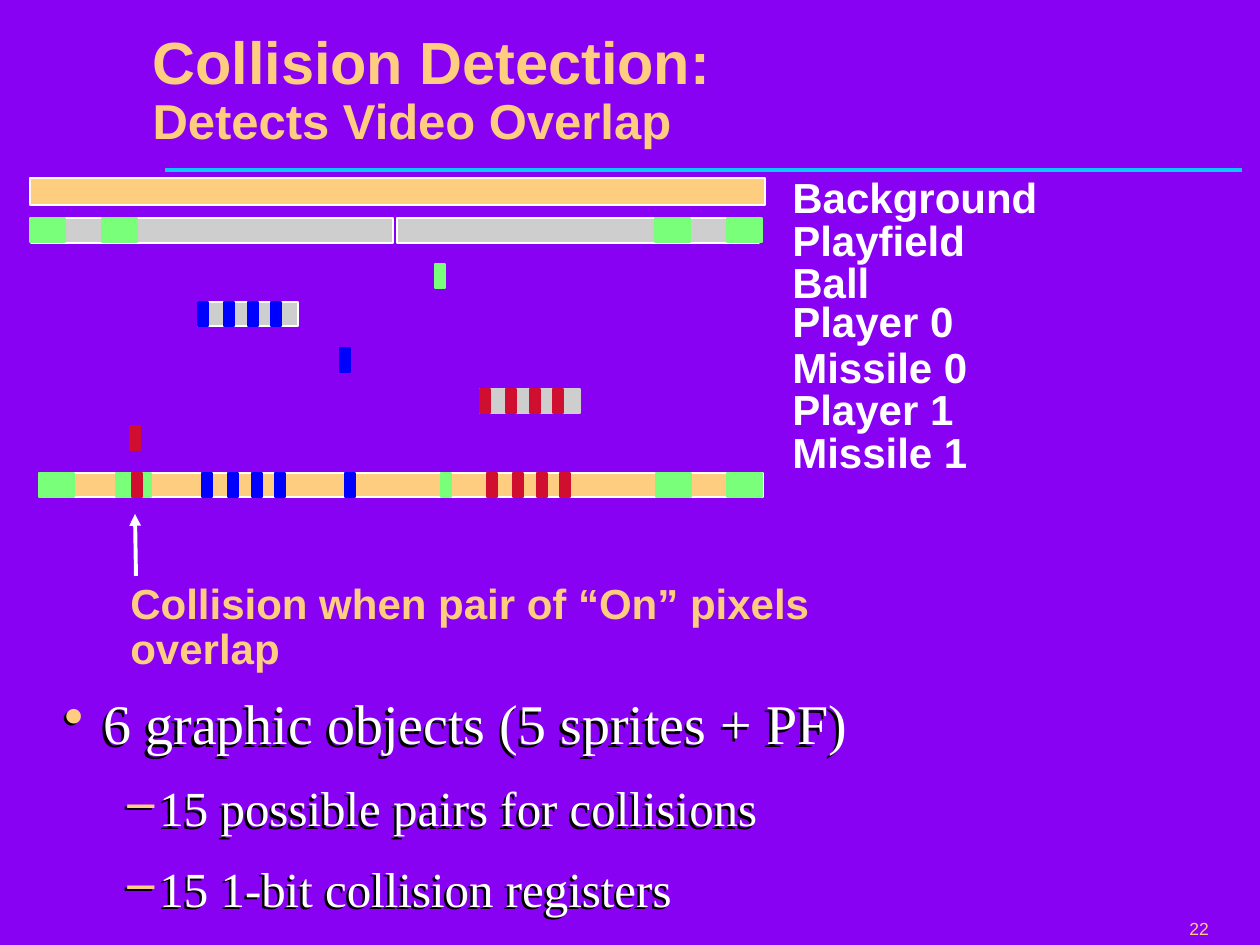
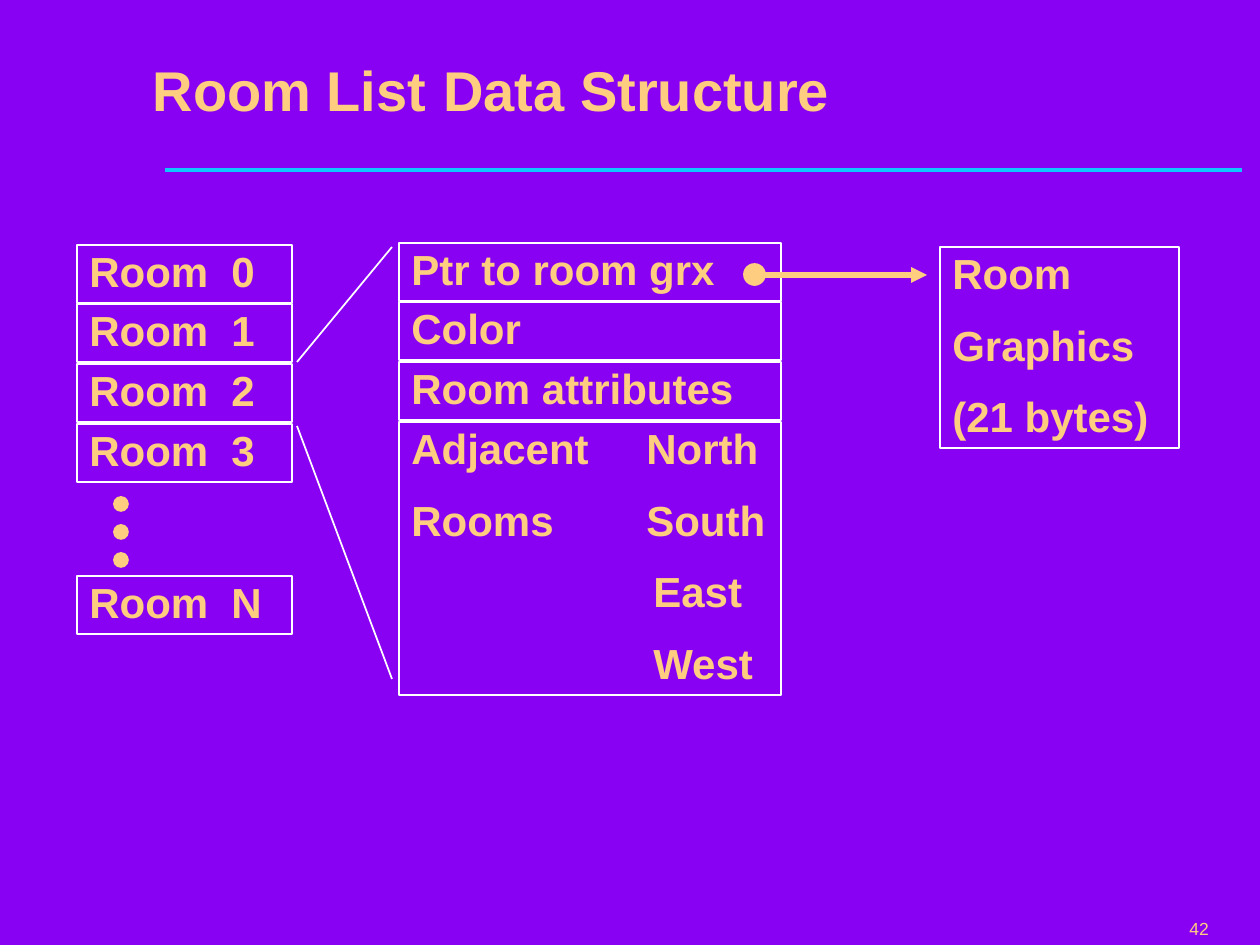
from dataclasses import dataclass

from lxml.etree import SubElement
from pptx import Presentation
from pptx.dml.color import RGBColor as Rgb
from pptx.enum.shapes import MSO_CONNECTOR as Connector, MSO_SHAPE as Shape
from pptx.enum.text import MSO_ANCHOR as Anchor, MSO_AUTO_SIZE as AutoSize, PP_ALIGN as Align
from pptx.oxml.ns import qn
from pptx.util import Emu, Pt

PX_PER_INCH = 126
TITLE_ONLY = 5


def px(length):
    return Emu(round(length * 914400 / PX_PER_INCH))


def apply(target, values):
    for name, value in values.items():
        setattr(target, name, value)


@dataclass(frozen=True)
class Theme:
    # Colours
    purple: str = "8901F3"
    gold: str = "FFCD7F"
    cyan: str = "0FC7FF"
    white: str = "FFFFFF"
    black: str = "000000"
    gray: str = "CECECE"
    green: str = "7AFF7A"
    blue: str = "0000FF"
    red: str = "CF0E30"
    # Typefaces and sizes
    sans: str = "Arial"
    serif: str = "Times New Roman"
    title: int = 34
    title_small: int = 32
    subtitle: int = 28
    label: int = 24
    bullet: int = 32
    sub_bullet: int = 28
    number: int = 10


class Sketcher:
    def __init__(self, deck, theme):
        self.deck, self.theme, self.page = deck, theme, None
        fill = deck.slide_master.background.fill
        fill.solid()
        fill.fore_color.rgb = Rgb.from_string(theme.purple)

    def start_page(self, number, title_spans):
        """Add a page with the title, rule and page number that all pages share."""
        theme = self.theme
        self.page = self.deck.slides.add_slide(self.deck.slide_layouts[TITLE_ONLY])
        self.line((165, 170), (1242, 170), theme.cyan, 2.25)
        self.text((1177, 914, 80, 31), [str(number)], theme.number, bold=False, before=0)
        title = self.page.shapes.title
        self.place(title, (140, 37, 1120, 110))
        self.frame(title, Anchor.MIDDLE)
        para = title.text_frame.paragraphs[0]
        self.paragraph(para, 0)
        for text, size in title_spans:
            if text == "\n":
                para.add_line_break()
            else:
                self.span(para, text, size, theme.gold)

    def place(self, shape, area):
        apply(shape, dict(zip(("left", "top", "width", "height"), map(px, area))))

    def frame(self, shape, anchor=Anchor.TOP):
        apply(shape.text_frame, {
            "word_wrap": True, "auto_size": AutoSize.NONE, "vertical_anchor": anchor,
            "margin_left": Pt(7.2), "margin_right": Pt(7.2),
            "margin_top": Pt(3.6), "margin_bottom": Pt(3.6)})

    def paragraph(self, para, before):
        apply(para, {"alignment": Align.LEFT, "line_spacing": 0.9, "space_before": Pt(before)})

    def span(self, para, text, size, color, bold=True, font=None):
        span = para.add_run()
        span.text = text
        apply(span.font, {"name": font or self.theme.sans, "size": Pt(size), "bold": bold})
        span.font.color.rgb = Rgb.from_string(color)

    def set_lines(self, shape, lines, size, color, bold=True, before=15, tabs=()):
        """Fill a shape with lines; tabs gives one tab stop for each line."""
        self.frame(shape)
        for index, text in enumerate(lines):
            paras = shape.text_frame
            para = paras.add_paragraph() if index else paras.paragraphs[0]
            self.paragraph(para, before)
            self.span(para, text, size, color, bold)
            if tabs:
                stops = SubElement(para._p.get_or_add_pPr(), qn("a:tabLst"))
                SubElement(stops, qn("a:tab"), pos=str(px(tabs[index])), algn="l")

    def text(self, area, lines, size, color=None, **style):
        box = self.page.shapes.add_textbox(*map(px, area))
        self.set_lines(box, lines, size, color or self.theme.gold, **style)

    def shape(self, area, fill=None, outline=None, kind=Shape.RECTANGLE):
        shape = self.page.shapes.add_shape(kind, *map(px, area))
        shape.shadow.inherit = False
        if fill:
            shape.fill.solid()
            shape.fill.fore_color.rgb = Rgb.from_string(fill)
        else:
            shape.fill.background()
        shape.line.color.rgb = Rgb.from_string(outline or fill)
        shape.line.width = Pt(1)
        return shape

    def cell(self, area, *lines, tabs=()):
        """Draw a white outlined box with text."""
        box = self.shape(area, outline=self.theme.white)
        self.set_lines(box, lines, self.theme.label, self.theme.gold, tabs=tabs)

    def blocks(self, lefts, top, width, color):
        for left in lefts:
            self.shape((left, top, width, 24), color)

    def dot(self, left, top, size):
        self.shape((left, top, size, size), self.theme.gold, kind=Shape.OVAL)

    def line(self, start, end, color, width, arrow=False):
        line = self.page.shapes.add_connector(Connector.STRAIGHT, *map(px, start + end))
        line.line.color.rgb = Rgb.from_string(color)
        line.line.width = Pt(width)
        props = line._element.spPr
        if arrow:
            SubElement(props.get_or_add_ln(), qn("a:tailEnd"), type="triangle")
        SubElement(props, qn("a:effectLst"))

    def bullets(self, area, items):
        """Add (level, text) items as a shadowed bullet list."""
        theme = self.theme
        levels = [("•", theme.bullet, 18, 39, 39), ("–", theme.sub_bullet, 15.8, 95, 32)]
        box = self.page.shapes.add_textbox(*map(px, area))
        self.frame(box)
        for index, (level, text) in enumerate(items):
            mark, size, before, indent, hang = levels[level]
            paras = box.text_frame
            para = paras.add_paragraph() if index else paras.paragraphs[0]
            para.level = level
            self.paragraph(para, before)
            self.span(para, text, size, theme.white, False, theme.serif)
            props = para._p.get_or_add_pPr()
            props.set("marL", str(px(indent)))
            props.set("indent", str(-px(hang)))
            SubElement(SubElement(props, qn("a:buClr")), qn("a:srgbClr"), val=theme.gold)
            SubElement(props, qn("a:buChar"), char=mark)
        effects = SubElement(box._element.spPr, qn("a:effectLst"))
        shadow = SubElement(effects, qn("a:outerShdw"), dist="25400", dir="8100000")
        SubElement(shadow, qn("a:srgbClr"), val=theme.black)


def collision_page(sketch):
    theme = sketch.theme
    sketch.start_page(22, [("Collision Detection:", theme.title), ("\n", 0),
                           ("Detects Video Overlap", theme.subtitle)])
    pixel, field_block = 10, 35
    player_bits = (0, 26, 50, 73)

    def player(left, top, color):
        sketch.blocks([left + bit for bit in player_bits], top, pixel, color)

    # Background and playfield
    sketch.shape((30, 178, 735, 27), theme.gold, theme.white)
    for left in (31, 397):
        sketch.shape((left, 218, 362, 25), theme.gray, theme.white)
    sketch.blocks((30, 102, 655, 727), 218, field_block, theme.green)

    # Ball, players and missiles
    sketch.blocks([435], 264, pixel, theme.green)
    sketch.shape((198, 302, 100, 24), theme.gray, theme.white)
    player(198, 302, theme.blue)
    sketch.blocks([340], 348, pixel, theme.blue)
    sketch.shape((480, 389, 100, 24), theme.gray)
    player(480, 389, theme.red)
    sketch.blocks([130], 426, pixel, theme.red)

    # Combined scan line
    combined = 473
    sketch.shape((40, combined, 723, 24), theme.gold, theme.white)
    sketch.blocks((39, 116, 656, 727), combined, field_block, theme.green)
    sketch.blocks([441], combined, pixel, theme.green)
    player(202, combined, theme.blue)
    player(487, combined, theme.red)
    sketch.blocks([345], combined, pixel, theme.blue)
    sketch.blocks([132], combined, pixel, theme.red)

    # Row labels
    labels = {"Background": 171, "Playfield": 214, "Ball": 256, "Player 0": 295,
              "Missile 0": 341, "Player 1": 383, "Missile 1": 426}
    for label, top in labels.items():
        sketch.text((780, top, 480, 58), [label], theme.label, theme.white)

    # Collision note
    sketch.line((136, 576), (135, 514), theme.white, 2.25, arrow=True)
    sketch.text((118, 577, 742, 103), ["Collision when pair of “On” pixels overlap"],
                theme.label)
    sketch.bullets((52, 690, 1163, 255), [
        (0, "6 graphic objects (5 sprites + PF)"),
        (1, "15 possible pairs for collisions"),
        (1, "15 1-bit collision registers")])


def room_page(sketch):
    theme = sketch.theme
    sketch.start_page(42, [("Room List", theme.title_small), (" ", theme.title),
                           ("Data Structure", theme.title_small)])
    row_height = 58

    def row_top(first, index):
        return first + index * 179 // 3

    # Room list
    room_tops = {str(index): row_top(245, index) for index in range(4)}
    room_tops["N"] = 576
    for room, top in room_tops.items():
        sketch.cell((77, top, 215, row_height), f"Room\t{room}", tabs=[142])
    for index in range(3):
        sketch.dot(114, 497 + 28 * index, 14)

    # Room record
    for index, field in enumerate(("Ptr to room grx", "Color", "Room attributes")):
        sketch.cell((399, row_top(243, index), 382, row_height), field)
    sketch.cell((399, row_top(243, 3), 382, 273), "Adjacent\tNorth", "Rooms\tSouth",
                "\tEast", "\tWest", tabs=(235, 235, 242, 242))
    sketch.line((297, 362), (392, 247), theme.white, 1)
    sketch.line((297, 426), (392, 679), theme.white, 1)

    # Graphics pointer
    sketch.cell((940, 247, 239, 201), "Room", "Graphics", "(21 bytes)")
    sketch.dot(744, 264, 21)
    sketch.line((755, 275), (927, 275), theme.gold, 3, arrow=True)


def main():
    deck = Presentation()
    apply(deck, {"slide_width": px(1260), "slide_height": px(945)})
    sketch = Sketcher(deck, Theme())
    collision_page(sketch)
    room_page(sketch)
    deck.save("out.pptx")


if __name__ == "__main__":
    main()
